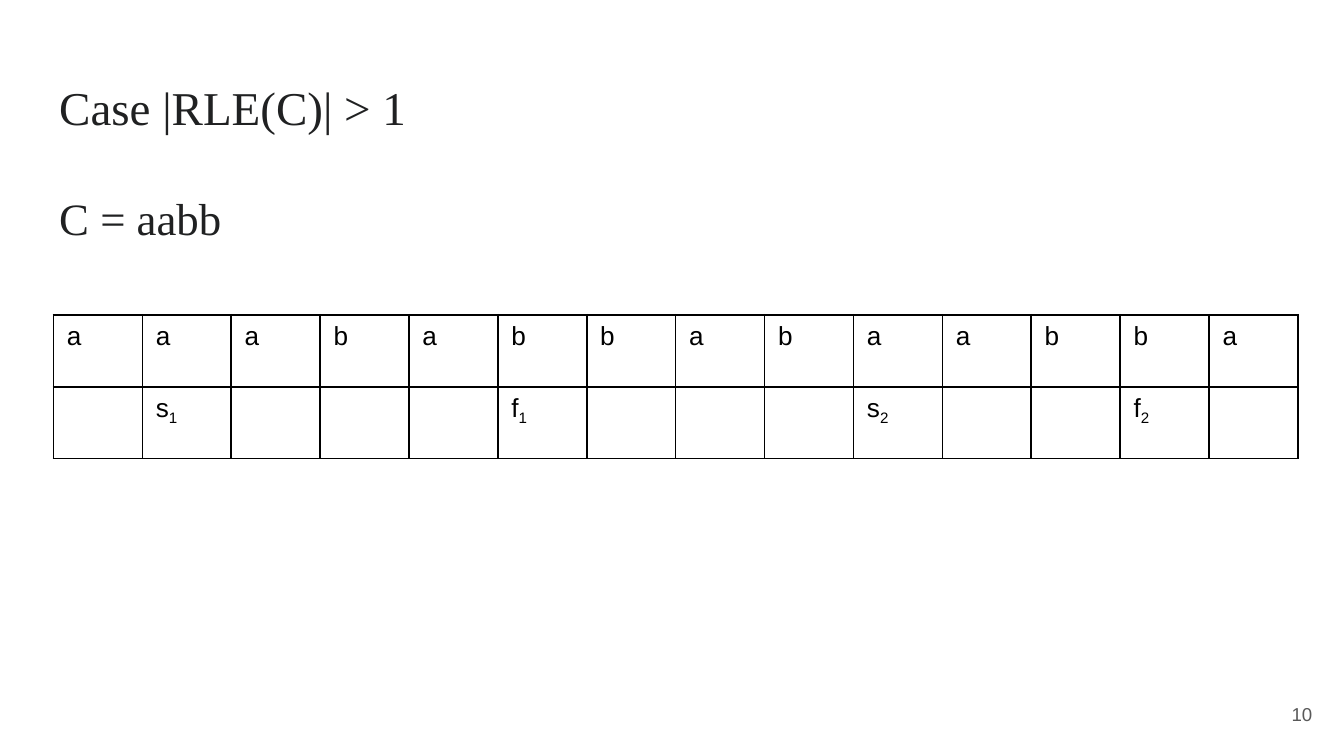
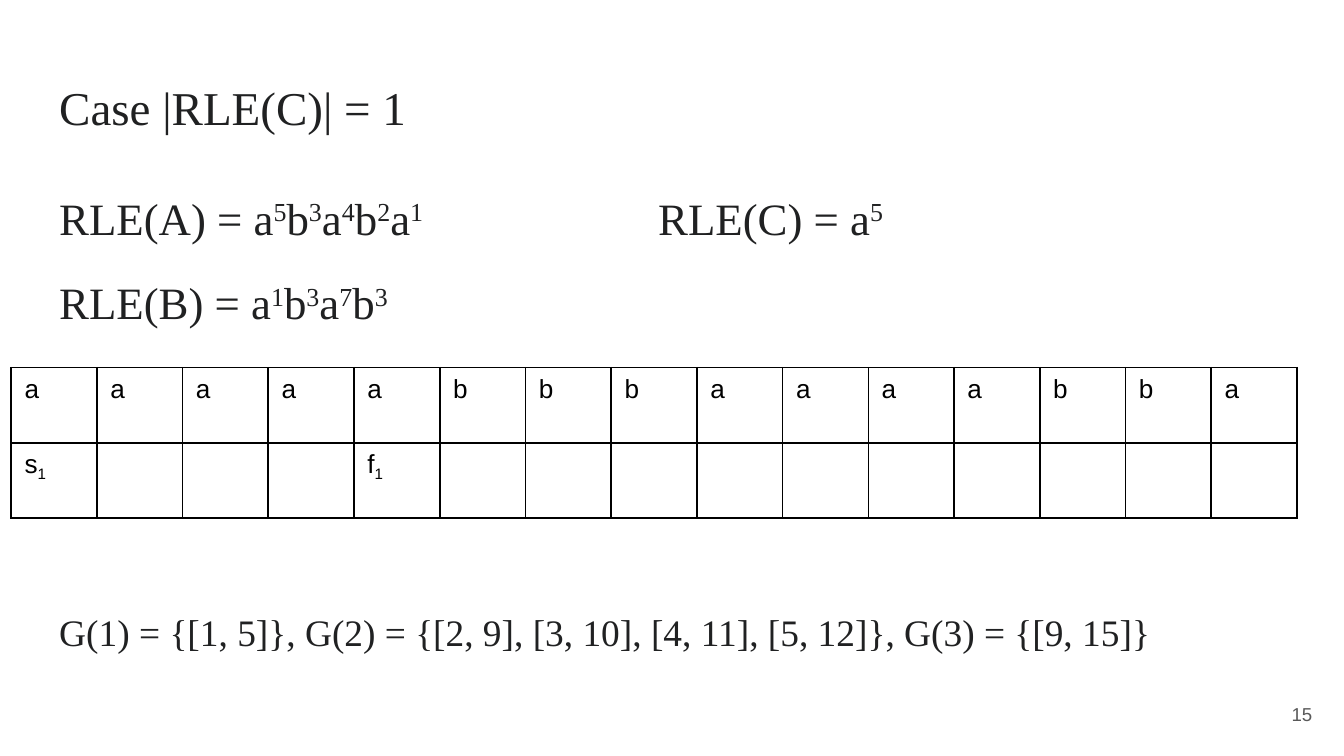
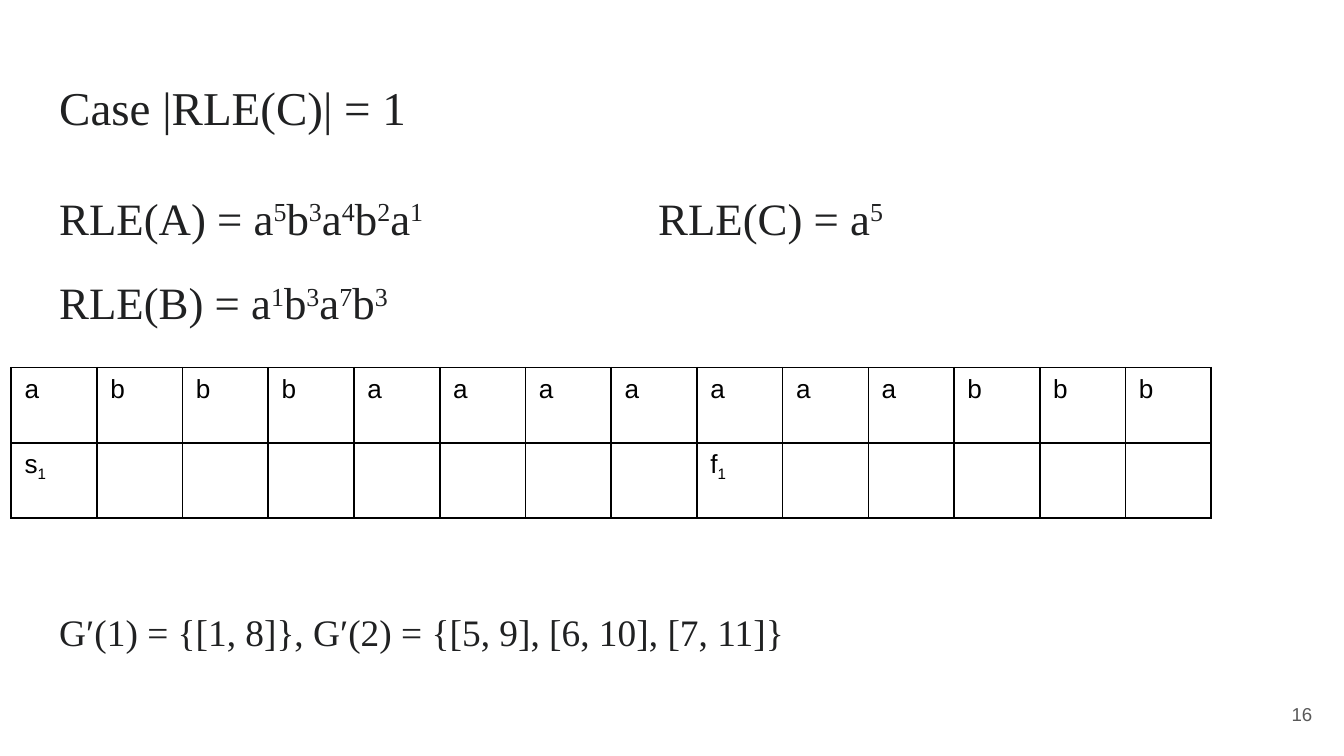
from dataclasses import dataclass

from lxml.etree import SubElement
from pptx import Presentation
from pptx.dml.color import RGBColor
from pptx.enum.text import MSO_ANCHOR, PP_ALIGN
from pptx.oxml.ns import qn
from pptx.util import Cm, Pt

# In all texts "^" raises and "_" lowers the one character that follows it.
RUN_LENGTHS = ["RLE(A) = a^5b^3a^4b^2a^1\tRLE(C) = a^5", "RLE(B) = a^1b^3a^7b^3"]
WIDE_GRID = {"left": 1.01, "top": 5.95, "column": 1.68, "row": 1.36}
LOW_GRID = {"left": 0.21, "top": 6.95, "column": 1.62, "row": 1.42}

# "marks" gives the labels below the letters, by position counted from 1.
SLIDES = [
    {
        "number": "10",
        "title": "Case |RLE(C)| > 1",
        "lines": ["C = aabb"],
        "intervals": None,
        "grid": WIDE_GRID,
        "letters": "aaababbabaabba",
        "marks": {2: "s_1", 6: "f_1", 10: "s_2", 13: "f_2"},
    },
    {
        "number": "15",
        "title": "Case |RLE(C)| = 1",
        "lines": RUN_LENGTHS,
        "intervals": "G(1) = {[1, 5]}, G(2) = {[2, 9], [3, 10], [4, 11], [5, 12]}, G(3) = {[9, 15]}",
        "grid": LOW_GRID,
        "letters": "aaaaabbbaaaabba",
        "marks": {1: "s_1", 5: "f_1"},
    },
    {
        "number": "16",
        "title": "Case |RLE(C)| = 1",
        "lines": RUN_LENGTHS,
        "intervals": "G′(1) = {[1, 8]}, G′(2) = {[5, 9], [6, 10], [7, 11]}",
        "grid": LOW_GRID,
        "letters": "abbbaaaaaaabbb",
        "marks": {1: "s_1", 9: "f_1"},
    },
]


@dataclass(frozen=True)
class Style:
    font: str
    size: float
    color: str


@dataclass(frozen=True)
class Theme:
    title: Style = Style("Times New Roman", 25.2, "202122")
    body: Style = Style("Times New Roman", 24, "202122")
    intervals: Style = Style("Times New Roman", 20, "202122")
    cell: Style = Style("Arial", 14, "000000")
    number: Style = Style("Arial", 10, "595959")
    border: str = "000000"


THEME = Theme()
BASELINES = {"^": "30000", "_": "-25000"}
TITLE_AREA = (0.87, 1.24, 23.67, 1.59)
BODY_AREA = (0.87, 3.2, 23.67, 9.5)
NUMBER_AREA = (23.53, 12.95, 1.52, 1.09)
SECOND_COLUMN = Cm(11.32)
INTERVALS_GAP = Pt(135)


def split_baselines(text):
    """Return (text, baseline) pairs, with None for text on the line."""
    pieces, plain, characters = [], "", iter(text)
    for character in characters:
        if character in BASELINES:
            pieces += [(plain, None), (next(characters), BASELINES[character])]
            plain = ""
        else:
            plain += character
    return [piece for piece in pieces + [(plain, None)] if piece[0]]


def write(paragraph, text, style):
    for piece, baseline in split_baselines(text):
        run = paragraph.add_run()
        run.text = piece
        run.font.name = style.font
        run.font.size = Pt(style.size)
        run.font.color.rgb = RGBColor.from_string(style.color)
        if baseline:
            run.font._element.set("baseline", baseline)


def add_text_frame(slide, area):
    frame = slide.shapes.add_textbox(*map(Cm, area)).text_frame
    frame.word_wrap = True
    frame.margin_left = frame.margin_right = Cm(0.25)
    frame.margin_top = frame.margin_bottom = Cm(0.25)
    return frame


def add_body(slide, lines, intervals):
    frame = add_text_frame(slide, BODY_AREA)
    entries = [(line, THEME.body) for line in lines]
    if intervals:
        entries.append((intervals, THEME.intervals))
    for index, (text, style) in enumerate(entries):
        paragraph = frame.add_paragraph() if index else frame.paragraphs[0]
        if "\t" in text:
            tabs = SubElement(paragraph._p.get_or_add_pPr(), qn("a:tabLst"))
            SubElement(tabs, qn("a:tab"), pos=str(SECOND_COLUMN), algn="l")
        paragraph.line_spacing = 1.15
        paragraph.space_after = Pt(12)
        if style is THEME.intervals:
            paragraph.space_before = INTERVALS_GAP
        write(paragraph, text, style)


def add_number(slide, number):
    frame = add_text_frame(slide, NUMBER_AREA)
    frame.vertical_anchor = MSO_ANCHOR.MIDDLE
    frame.paragraphs[0].alignment = PP_ALIGN.RIGHT
    write(frame.paragraphs[0], number, THEME.number)


def frame_cell(cell):
    properties = cell._tc.get_or_add_tcPr()
    for side in ("lnL", "lnR", "lnT", "lnB"):
        line = SubElement(properties, qn(f"a:{side}"), w=str(Pt(1)))
        fill = SubElement(line, qn("a:solidFill"))
        SubElement(fill, qn("a:srgbClr"), val=THEME.border)
    cell.fill.background()


def add_letter_table(slide, grid, letters, marks):
    labels = [marks.get(position, "") for position in range(1, len(letters) + 1)]
    rows = [letters, labels]
    width, height = grid["column"] * len(letters), grid["row"] * len(rows)
    table = slide.shapes.add_table(
        len(rows), len(letters), Cm(grid["left"]), Cm(grid["top"]), Cm(width), Cm(height)
    ).table
    table.first_row = table.horz_banding = False
    for column in table.columns:
        column.width = Cm(grid["column"])
    for row_index, texts in enumerate(rows):
        table.rows[row_index].height = Cm(grid["row"])
        for column_index, text in enumerate(texts):
            cell = table.cell(row_index, column_index)
            frame_cell(cell)
            write(cell.text_frame.paragraphs[0], text, THEME.cell)


def main():
    presentation = Presentation()
    presentation.slide_width, presentation.slide_height = Cm(25.4), Cm(14.29)
    for content in SLIDES:
        slide = presentation.slides.add_slide(presentation.slide_layouts[6])
        title = add_text_frame(slide, TITLE_AREA)
        write(title.paragraphs[0], content["title"], THEME.title)
        add_body(slide, content["lines"], content["intervals"])
        add_number(slide, content["number"])
        add_letter_table(slide, content["grid"], content["letters"], content["marks"])
    presentation.save("out.pptx")


if __name__ == "__main__":
    main()
